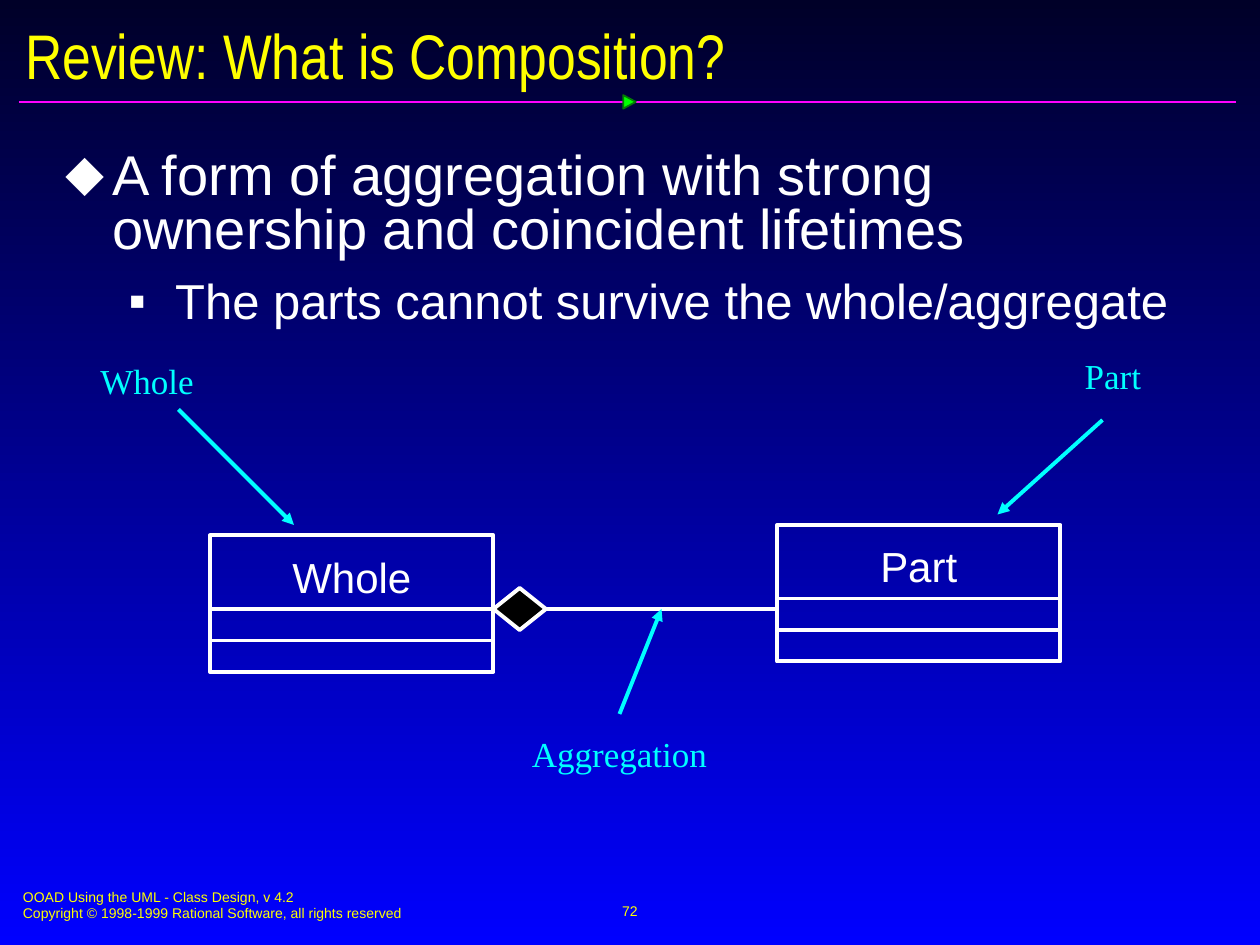
from lxml import etree
from pptx import Presentation
from pptx import util as u
from pptx.dml.color import RGBColor
from pptx.enum import shapes, text
from pptx.oxml import ns

WHITE, CYAN, GOLD = "FFFFFF", "00FFFF", "FFFF00"
KIND = shapes.MSO_SHAPE
LEFT, MID = text.PP_ALIGN.LEFT, text.PP_ALIGN.CENTER


def grid(*nums):
    return [u.Inches(n / 12) for n in nums]


def tint(code):
    return RGBColor.from_string(code)


def sub(node, tag, **attrs):
    return etree.SubElement(node, ns.qn(tag), **attrs)


class Deck:
    sans, serif, slim = "Arial", "Times New Roman", "Arial Narrow"
    thick = 2.25

    def __init__(self):
        self.file = Presentation()
        self.file.slide_width, self.file.slide_height = grid(120, 90)
        self.page = self.file.slides.add_slide(self.file.slide_layouts[1])
        self.items = self.page.shapes

    def back(self, top, base):
        fill = self.page.background.fill
        fill.gradient()
        fill.gradient_angle = 270
        for stop, code, pos in zip(fill.gradient_stops, (top, base), (0, 1)):
            stop.color.rgb = tint(code)
            stop.position = pos

    def add_run(self, para, words, size, color, face, align=LEFT):
        para.alignment = align
        run = para.add_run()
        run.text = words
        run.font.size = u.Pt(size)
        run.font.name = face
        run.font.color.rgb = tint(color)

    def frame(self, item, box, inset=(0.1, 0.05), anchor=text.MSO_ANCHOR.TOP):
        item.left, item.top, item.width, item.height = grid(*box)
        body = item.text_frame
        body.word_wrap = True
        body.auto_size = text.MSO_AUTO_SIZE.NONE
        body.vertical_anchor = anchor
        body.margin_left = body.margin_right = u.Inches(inset[0])
        body.margin_top = body.margin_bottom = u.Inches(inset[1])
        return body

    def title(self, words, box):
        body = self.frame(self.items.title, box, anchor=text.MSO_ANCHOR.MIDDLE)
        self.add_run(body.paragraphs[0], words, 36, GOLD, self.slim)

    def points(self, rows, box):
        body = self.frame(self.page.placeholders[1], box, (0.12, 0.06))
        for i, (words, size, mark, indent, pitch, gap) in enumerate(rows):
            para = body.add_paragraph() if i else body.paragraphs[0]
            para.level = i
            props = para._p.get_or_add_pPr()
            props.set("marL", str(u.Inches(indent)))
            props.set("indent", str(u.Inches(-0.37)))
            sub(sub(props, "a:buClr"), "a:srgbClr", val=WHITE)
            sub(props, "a:buFont", typeface=self.sans)
            sub(props, "a:buChar", char=mark)
            para.line_spacing = pitch
            para.space_before = u.Pt(gap)
            self.add_run(para, words, size, WHITE, self.sans)

    def note(self, lines, box, size, color, face, align=MID, **look):
        body = self.frame(self.items.add_textbox(*grid(*box)), box, **look)
        for i, words in enumerate(lines):
            para = body.add_paragraph() if i else body.paragraphs[0]
            self.add_run(para, words, size, color, face, align)

    def label(self, words, col, row):
        self.note([words], (col, row, 28, 5.4), 20, CYAN, self.serif,
                  inset=(0.12, 0.06))

    def shape(self, kind, box, line, fill=None, width=thick):
        item = self.items.add_shape(kind, *grid(*box))
        item.shadow.inherit = False
        if fill:
            item.fill.solid()
            item.fill.fore_color.rgb = tint(fill)
        else:
            item.fill.background()
        item.line.color.rgb = tint(line)
        item.line.width = u.Pt(width)
        return item

    def line(self, start, end, color, width=thick, arrow=False):
        item = self.items.add_connector(
            shapes.MSO_CONNECTOR.STRAIGHT, *grid(*start, *end))
        item.line.color.rgb = tint(color)
        item.line.width = u.Pt(width)
        if arrow:
            sub(item.line._get_or_add_ln(), "a:tailEnd", type="triangle")
        sub(item._element.spPr, "a:effectLst")
        return item

    def entity(self, name, col, row):
        self.shape(KIND.RECTANGLE, (col, row, 27, 13), WHITE)
        self.note([name], (col + 2.5, row + 0.9, 22, 6), 24, WHITE, self.sans)
        for drop in (7, 10):
            self.line((col, row + drop), (col + 27, row + drop), WHITE)


def main():
    deck = Deck()
    deck.back("000028", "0000FF")
    deck.title("Review: What is Composition?", (1.2, 1.7, 118, 7))
    deck.points([
        ("A form of aggregation with strong ownership and coincident lifetimes",
         32, "⬥", 0.37, 0.8, 0),
        ("The parts cannot survive the whole/aggregate",
         28, "▪", 0.87, 0.87, 10.5),
    ], (4.8, 13.8, 111.5, 66.2))

    deck.line((1.8, 9.7), (117.7, 9.7), "FF01FF", 1)
    mark = deck.shape(KIND.ISOSCELES_TRIANGLE, (59.3, 9.1, 1.3, 1.2),
                      "037C03", "00FF00", 1)
    mark.rotation = 90

    deck.entity("Whole", 20, 51)
    deck.entity("Part", 74, 50)
    gem = deck.shape(KIND.DIAMOND, (47, 56, 5, 4), WHITE, "000000")
    deck.line((52, 58), (74, 58), WHITE).begin_connect(gem, 3)

    for words, col, row, start, end in (
        ("Whole", 0, 33.5, (17, 39), (28, 50)),
        ("Aggregation", 45, 69, (59, 68), (63, 58)),
        ("Part", 92, 33, (105, 40), (95, 49)),
    ):
        deck.label(words, col, row)
        deck.line(start, end, CYAN, arrow=True)

    deck.note(["OOAD Using the UML - Class Design, v 4.2",
               "Copyright © 1998-1999 Rational Software, all rights reserved"],
              (1, 84, 61, 4.5), 8, GOLD, deck.sans, LEFT)
    deck.note(["72"], (41, 83.8, 38, 6), 8, GOLD, deck.sans,
              anchor=text.MSO_ANCHOR.MIDDLE)
    deck.file.save("out.pptx")


if __name__ == "__main__":
    main()
